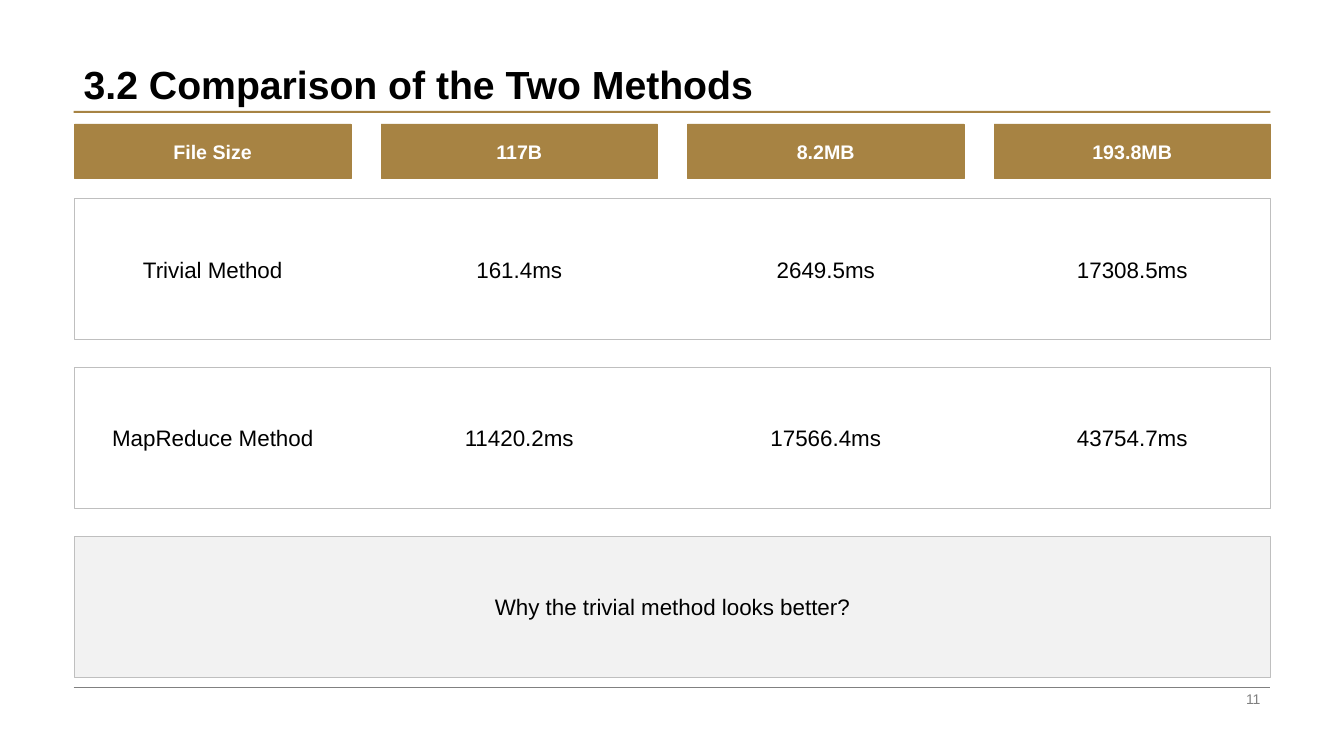
from dataclasses import dataclass

from lxml.etree import SubElement
from pptx import Presentation
from pptx.dml.color import RGBColor
from pptx.enum.shapes import MSO_CONNECTOR, MSO_SHAPE
from pptx.enum.text import MSO_ANCHOR, PP_ALIGN
from pptx.oxml.ns import qn
from pptx.util import Inches, Pt


@dataclass(frozen=True)
class Theme:
    font: str = "Arial"
    gold: str = "A78343"
    black: str = "000000"
    white: str = "FFFFFF"
    gray: str = "808080"
    border: str = "BFBFBF"
    panel: str = "F2F2F2"
    title_size: int = 28
    header_size: int = 14
    body_size: int = 16
    number_size: int = 10


@dataclass(frozen=True)
class Box:
    """A rectangle in inches."""
    left: float
    top: float
    width: float
    height: float

    def lengths(self):
        return [Inches(value) for value in (self.left, self.top, self.width, self.height)]


THEME = Theme()
TITLE_BOX = Box(0.73, 0, 11.87, 1.12)
TABLE_BOX = Box(0.74, 1.23, 11.86, 5.49)
FOOTER_BOX = Box(0.73, 6.82, 11.87, 0.23)

COLUMN_WIDTH, COLUMN_STEP = 2.74, 3.04
HEADER_HEIGHT = 0.54
ROWS_OFFSET, ROW_HEIGHT, ROW_STEP = 0.74, 1.4, 1.675
CELL_MARGIN = 0.11

HEADERS = ["File Size", "117B", "8.2MB", "193.8MB"]
TIMINGS = [
    ["Trivial Method", "161.4ms", "2649.5ms", "17308.5ms"],
    ["MapReduce Method", "11420.2ms", "17566.4ms", "43754.7ms"],
]
QUESTION = "Why the trivial method looks better?"


def write(shape, text, size, color=THEME.black, bold=False,
          align=PP_ALIGN.CENTER, anchor=MSO_ANCHOR.MIDDLE):
    frame = shape.text_frame
    frame.text = text
    frame.word_wrap = True
    frame.vertical_anchor = anchor
    paragraph = frame.paragraphs[0]
    paragraph.alignment = align
    font = paragraph.runs[0].font
    formats = {"name": THEME.font, "size": Pt(size), "bold": bold}
    for name, value in formats.items():
        setattr(font, name, value)
    font.color.rgb = RGBColor.from_string(color)
    return paragraph


def add_rectangle(slide, box, fill=None, line=None):
    shape = slide.shapes.add_shape(MSO_SHAPE.RECTANGLE, *box.lengths())
    shape.shadow.inherit = False
    for paint, color in ((shape.fill, fill), (shape.line.fill, line)):
        if color:
            paint.solid()
            paint.fore_color.rgb = RGBColor.from_string(color)
        else:
            paint.background()
    if line:
        shape.line.width = Pt(0.25)
    return shape


def add_title(slide, box, text):
    add_rectangle(slide, Box(box.left, box.top + 1.1, box.width, 0.02), THEME.gold)
    title = slide.shapes.title
    for name, value in zip(("left", "top", "width", "height"), box.lengths()):
        setattr(title, name, value)
    paragraph = write(title, text, THEME.title_size, bold=True,
                      align=PP_ALIGN.LEFT, anchor=MSO_ANCHOR.BOTTOM)
    paragraph.line_spacing = 0.9


def add_footer(slide, box, number):
    left, top, width, height = box.lengths()
    rule = slide.shapes.add_connector(MSO_CONNECTOR.STRAIGHT, left, top, left + width, top)
    rule.line.color.rgb = RGBColor.from_string(THEME.gray)
    rule.line.width = Pt(0.5)
    SubElement(rule._element.spPr, qn("a:effectLst"))
    number_width = Inches(3.18)
    number_box = slide.shapes.add_textbox(left + width - number_width, top, number_width, height)
    write(number_box, number, THEME.number_size, THEME.gray, align=PP_ALIGN.RIGHT)


def add_headers(slide, box):
    for column, text in enumerate(HEADERS):
        cell = Box(box.left + column * COLUMN_STEP, box.top, COLUMN_WIDTH, HEADER_HEIGHT)
        header = add_rectangle(slide, cell, THEME.gold, THEME.gold)
        write(header, text, THEME.header_size, THEME.white, bold=True)


def add_timing_row(slide, box, texts):
    add_rectangle(slide, box, line=THEME.border)
    for column, text in enumerate(texts):
        cell = Box(box.left + column * COLUMN_STEP, box.top + CELL_MARGIN,
                   COLUMN_WIDTH, box.height - 2 * CELL_MARGIN)
        write(slide.shapes.add_textbox(*cell.lengths()), text, THEME.body_size)


def add_comparison(slide, box):
    """Header cells, one framed row per method and the closing question."""
    add_headers(slide, box)
    row_boxes = [
        Box(box.left, box.top + ROWS_OFFSET + row * ROW_STEP, box.width, ROW_HEIGHT)
        for row in range(len(TIMINGS) + 1)
    ]
    for row_box, texts in zip(row_boxes, TIMINGS):
        add_timing_row(slide, row_box, texts)
    question = add_rectangle(slide, row_boxes[-1], THEME.panel, THEME.border)
    write(question, QUESTION, THEME.body_size)


def main():
    presentation = Presentation()
    presentation.slide_width = Inches(13.33)
    presentation.slide_height = Inches(7.5)
    title_only = presentation.slide_layouts[5]
    slide = presentation.slides.add_slide(title_only)
    add_title(slide, TITLE_BOX, "3.2 Comparison of the Two Methods")
    add_comparison(slide, TABLE_BOX)
    add_footer(slide, FOOTER_BOX, "11")
    presentation.save("out.pptx")


if __name__ == "__main__":
    main()
